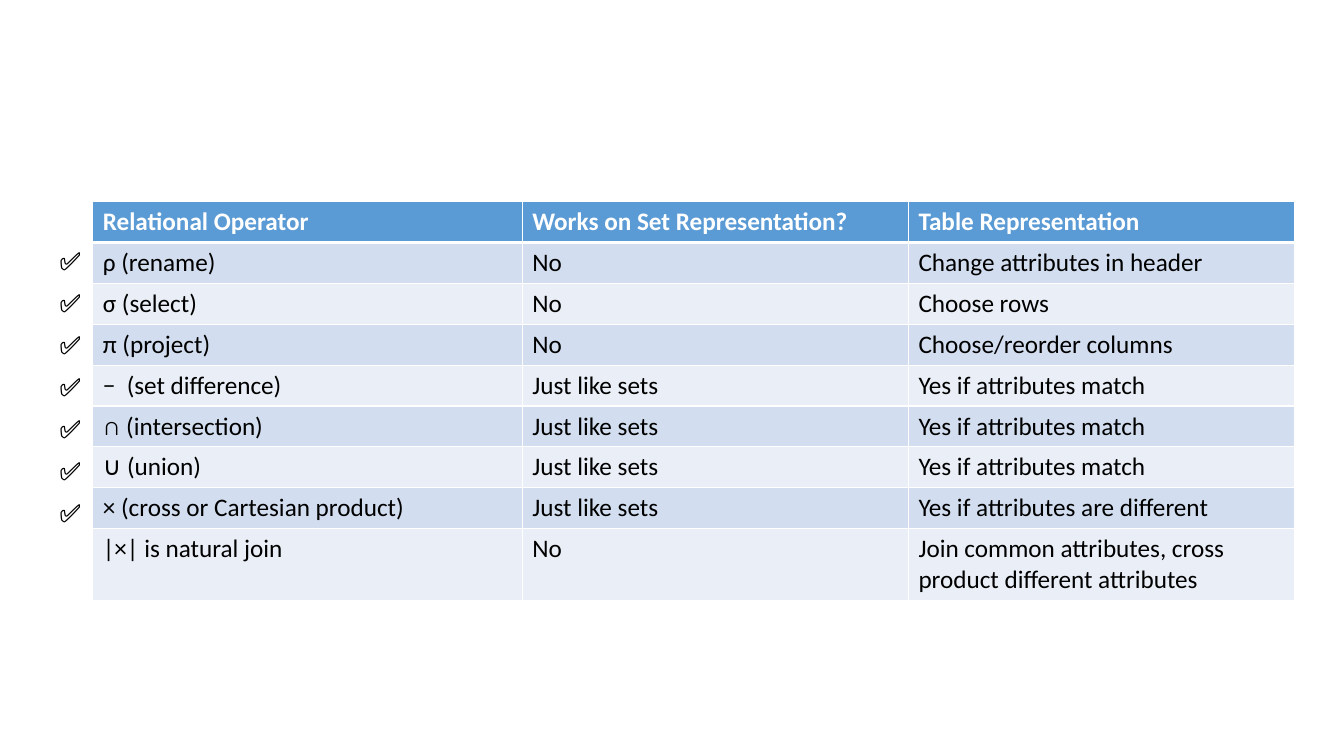
from lxml import etree
from pptx import Presentation
from pptx.dml.color import RGBColor
from pptx.enum.text import MSO_AUTO_SIZE
from pptx.oxml.ns import qn
from pptx.util import Inches, Pt

FIT_SHAPE = MSO_AUTO_SIZE.SHAPE_TO_FIT_TEXT
BLANK_LAYOUT = 6

FONT = "Calibri"
WHITE, BLACK = "FFFFFF", "000000"
HEADER_BLUE = "5B9BD5"
BANDS = ["D2DEEF", "EAEFF7"]

COLUMN_WIDTHS = [4.26, 3.83, 3.83]
HEADINGS = ["Relational Operator", "Works on Set Representation?",
            "Table Representation"]
OPERATORS = [
    ["ρ (rename)", "No", "Change attributes in header"],
    ["σ (select)", "No", "Choose rows"],
    ["π (project)", "No", "Choose/reorder columns"],
    ["−  (set difference)", "Just like sets", "Yes if attributes match"],
    ["∩ (intersection)", "Just like sets", "Yes if attributes match"],
    ["∪ (union)", "Just like sets", "Yes if attributes match"],
    ["× (cross or Cartesian product)", "Just like sets",
     "Yes if attributes are different"],
    ["|×| is natural join", "No",
     "Join common attributes, cross product different attributes"],
]
CHECKED_COUNT = 7
CHECK_TOP, CHECK_STEP = 2.38, 0.417


def color(hex_code):
    return RGBColor.from_string(hex_code)


def write(text_frame, text, text_color, bold=False):
    paragraph = text_frame.paragraphs[0]
    paragraph.text = text
    paragraph.font.name = FONT
    paragraph.font.size = Pt(18)
    paragraph.font.bold = bold
    paragraph.font.color.rgb = color(text_color)


def set_borders(cell, bottom_width, top_width):
    """Draw white cell borders; they must stand before the fill."""
    properties = cell._tc.get_or_add_tcPr()
    widths = {"a:lnL": 1, "a:lnR": 1, "a:lnT": top_width, "a:lnB": bottom_width}
    for position, (side, width) in enumerate(widths.items()):
        border = etree.Element(qn(side), w=str(Pt(width)))
        fill = etree.SubElement(border, qn("a:solidFill"))
        etree.SubElement(fill, qn("a:srgbClr"), val=WHITE)
        properties.insert(position, border)


def add_operator_table(slide):
    rows = [HEADINGS] + OPERATORS
    table = slide.shapes.add_table(
        len(rows), len(HEADINGS), Inches(0.92), Inches(2),
        Inches(sum(COLUMN_WIDTHS)), Inches(3.65)).table
    for column, width in zip(table.columns, COLUMN_WIDTHS):
        column.width = Inches(width)
    for row_index, row in enumerate(rows):
        is_header = row_index == 0
        background = HEADER_BLUE if is_header else BANDS[(row_index - 1) % 2]
        for column_index, text in enumerate(row):
            cell = table.cell(row_index, column_index)
            cell.fill.solid()
            cell.fill.fore_color.rgb = color(background)
            set_borders(cell, bottom_width=3 if is_header else 1,
                        top_width=3 if row_index == 1 else 1)
            write(cell.text_frame, text, WHITE if is_header else BLACK, is_header)


def add_check_mark(slide, top):
    check_mark = slide.shapes.add_textbox(
        Inches(0.49), Inches(top), Inches(0.45), Inches(0.4))
    check_mark.text_frame.word_wrap = False
    check_mark.text_frame.auto_size = FIT_SHAPE
    write(check_mark.text_frame, "✅", BLACK)


def main():
    presentation = Presentation()
    presentation.slide_width = Inches(13.33)
    presentation.slide_height = Inches(7.5)
    slide = presentation.slides.add_slide(presentation.slide_layouts[BLANK_LAYOUT])

    # Operators and how they work on sets and tables
    add_operator_table(slide)

    # Marks beside the operators already covered
    for index in range(CHECKED_COUNT):
        add_check_mark(slide, CHECK_TOP + index * CHECK_STEP)

    presentation.save("out.pptx")


if __name__ == "__main__":
    main()
